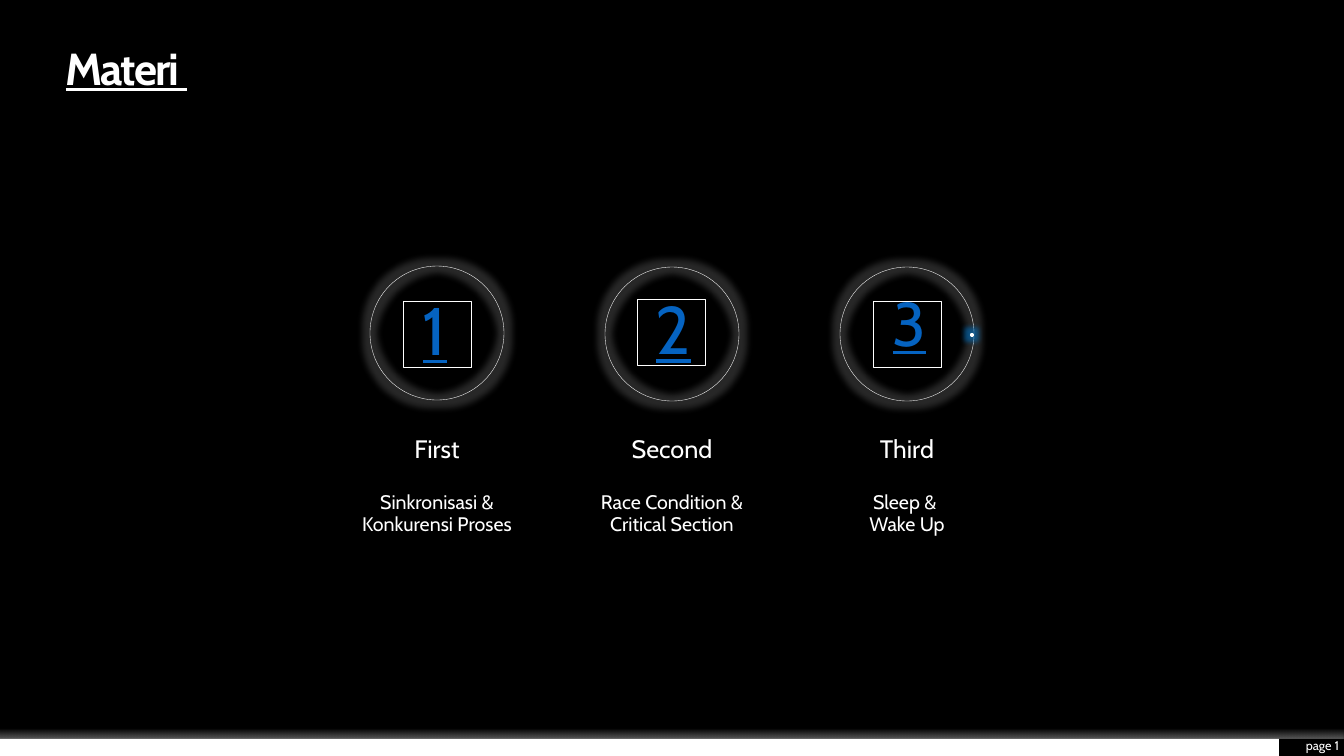
"""Builds the dark "Materi" agenda slide with three numbered topics."""
import lxml.etree
import pptx
import pptx.dml.color
import pptx.enum.shapes
import pptx.enum.text
import pptx.oxml
import pptx.oxml.ns
import pptx.util

PX = 914400 / 100.8
SHAPES = pptx.enum.shapes.MSO_SHAPE
ALIGN = pptx.enum.text.PP_ALIGN
ANCHOR = pptx.enum.text.MSO_ANCHOR
NAMESPACE = pptx.oxml.ns.nsdecls("a")


def add_figure(kind, left, top, width, height, fill=None, line=None, glow=None):
    figure = page.shapes.add_shape(kind, *(round(n * PX) for n in (left, top, width, height)))
    figure.shadow.inherit = False
    if fill:
        figure.fill.solid()
        figure.fill.fore_color.rgb = pptx.dml.color.RGBColor.from_string(fill)
    else:
        figure.fill.background()
    if line:
        figure.line.color.rgb = pptx.dml.color.RGBColor.from_string(line)
        figure.line.width = pptx.util.Pt(0.25)
    else:
        figure.line.fill.background()
    if glow:
        color, radius, alpha = glow
        effects = figure._element.spPr.find(pptx.oxml.ns.qn("a:effectLst"))
        effects.append(pptx.oxml.parse_xml(
            f'<a:glow {NAMESPACE} rad="{round(radius * PX)}"><a:srgbClr val="{color}">'
            f'<a:alpha val="{alpha * 1000}"/></a:srgbClr></a:glow>'))
    return figure


def write(box, lines, size, color="FFFFFF", align=None, spacing=None, inset=True):
    frame = box.text_frame
    frame.word_wrap = True
    if inset:
        frame.margin_left = frame.margin_right = frame.margin_top = frame.margin_bottom = 0
    para = frame.paragraphs[0]
    para.alignment = align
    para.line_spacing = spacing
    for index, line in enumerate(lines):
        if index:
            para.add_line_break()
        span = para.add_run()
        span.text = line
        span.font.size = pptx.util.Pt(size)
        span.font.name = "Cabin"
        span.font.color.rgb = pptx.dml.color.RGBColor.from_string(color)
    return para


deck = pptx.Presentation()
deck.slide_width = round(1344 * PX)
deck.slide_height = round(756 * PX)
page = deck.slides.add_slide(deck.slide_layouts[5])
page.background.fill.solid()
page.background.fill.fore_color.rgb = pptx.dml.color.RGBColor.from_string("000000")

add_figure(SHAPES.RECTANGLE, 0, 739, 1279, 17, fill="FFFFFF")
fade = add_figure(SHAPES.RECTANGLE, 0, 722, 1344, 17)
empty_fill = fade._element.spPr.find(pptx.oxml.ns.qn("a:noFill"))
empty_fill.getparent().replace(empty_fill, pptx.oxml.parse_xml(
    f'<a:gradFill {NAMESPACE}><a:gsLst>'
    '<a:gs pos="40000"><a:srgbClr val="FFFFFF"><a:alpha val="0"/></a:srgbClr></a:gs>'
    '<a:gs pos="100000"><a:srgbClr val="FFFFFF"><a:alpha val="35000"/></a:srgbClr></a:gs>'
    '</a:gsLst><a:lin ang="5400000" scaled="0"/></a:gradFill>'))

title = page.shapes.title
title.left, title.top, title.width, title.height = (round(n * PX) for n in (66, 47, 141, 47))
heading = write(title, ["Materi "], 32, align=ALIGN.LEFT, spacing=0.9)
title.text_frame.vertical_anchor = ANCHOR.MIDDLE
title.text_frame.auto_size = pptx.enum.text.MSO_AUTO_SIZE.NONE
heading.runs[0].font.bold = True
heading.runs[0].font.underline = True
heading.runs[0]._r.get_or_add_rPr().set("spc", "-150")

topics = [
    ("First", ["Sinkronisasi &", "Konkurensi Proses"], 266, (403, 301), "1", 48, (413, 283, 50, 92)),
    ("Second", ["Race Condition &", "Critical Section"], 267, (637, 299), "2", 48, (646, 282, 55, 92)),
    ("Third", ["Sleep & ", "Wake Up"], 267, (873, 301), "3", 44, (883, 280, 48, 85)),
]
for index, (name, lines, ring_top, square, number, size, place) in enumerate(topics):
    shift = 235 * index
    add_figure(SHAPES.OVAL, 370 + shift, ring_top, 134, 134, line="FFFFFF", glow=("FFFFFF", 14, 16))
    add_figure(SHAPES.RECTANGLE, *square, 68, 66, line="FFFFFF")

    digit_box = page.shapes.add_textbox(*(round(n * PX) for n in place))
    digit = write(digit_box, [number], size, color="0563C1", inset=False)
    digit.runs[0].font.underline = True
    digit_box.text_frame.word_wrap = False
    digit_box.text_frame.auto_size = pptx.enum.text.MSO_AUTO_SIZE.SHAPE_TO_FIT_TEXT

    for words, points, top, height in ((([name]), 18, 437, 39), (lines, 14, 493, 80)):
        box = page.shapes.add_textbox(*(round(n * PX) for n in (348 + shift, top, 178, height)))
        para = write(box, words, points, align=ALIGN.CENTER, spacing=0.9)
        para.space_before = pptx.util.Pt(10)

add_figure(SHAPES.OVAL, 970, 333, 4, 4, fill="FFFFFF", glow=("0070C0", 10, 60))

page_box = page.shapes.add_textbox(*(round(n * PX) for n in (1279, 737, 60, 17)))
write(page_box, ["page 1"], 9, align=ALIGN.RIGHT)
page_box.text_frame.vertical_anchor = ANCHOR.MIDDLE

deck.save("out.pptx")
